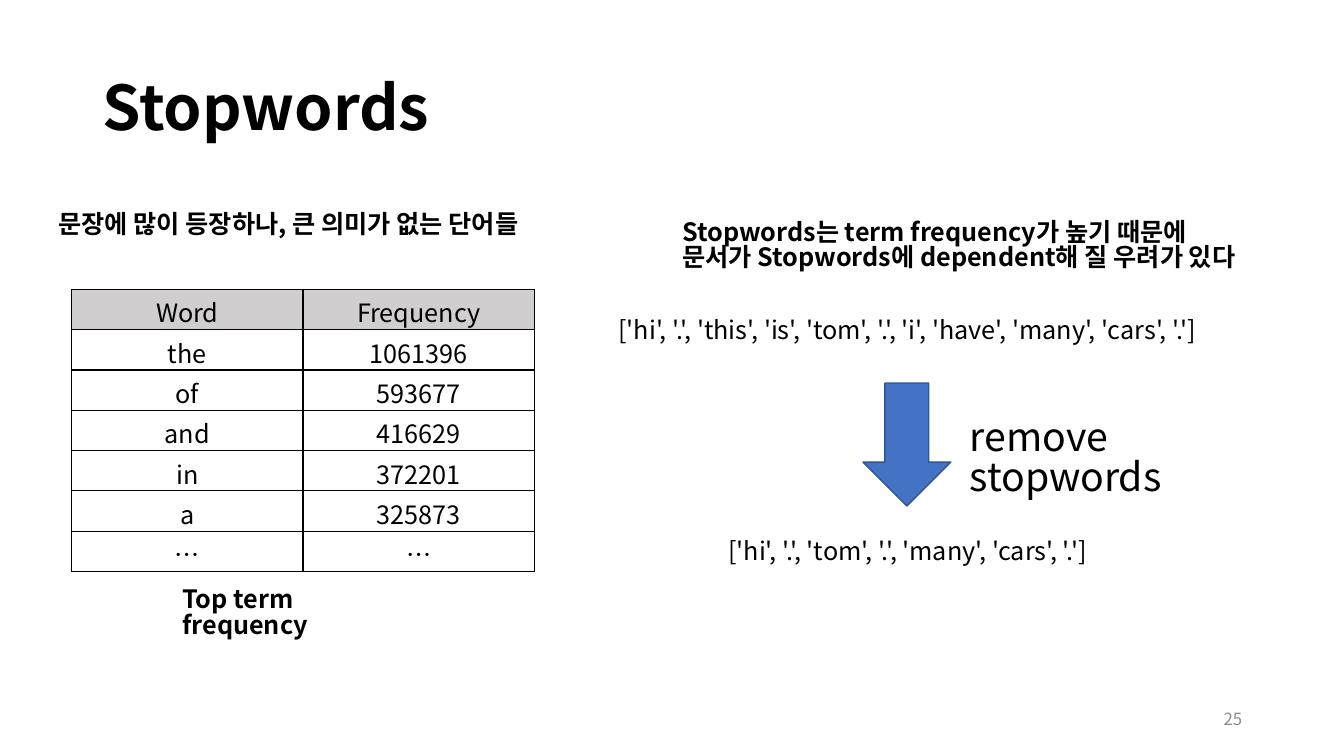
from dataclasses import dataclass

from lxml.etree import SubElement
from pptx import Presentation
from pptx.dml.color import RGBColor
from pptx.enum.shapes import MSO_SHAPE
from pptx.enum.text import MSO_ANCHOR as Anchor, MSO_AUTO_SIZE as AutoSize, PP_ALIGN as Align
from pptx.oxml.ns import qn
from pptx.util import Inches, Pt


@dataclass(frozen=True)
class Theme:
    font: str = "Noto Sans CJK KR"
    ink: str = "000000"
    muted: str = "8C8C8C"
    header: str = "D0CECE"
    accent: str = "4472C4"
    accent_edge: str = "325491"
    title_size: int = 44
    action_size: int = 28
    body_size: int = 18
    small_size: int = 12
    leading: float = 0.84


THEME = Theme()

TERMS = [
    ("Word", "Frequency"),
    ("the", "1061396"),
    ("of", "593677"),
    ("and", "416629"),
    ("in", "372201"),
    ("a", "325873"),
    ("…", "…"),
]


def rgb(value):
    return RGBColor.from_string(value)


def write_text(frame, text, size=THEME.body_size, color=THEME.ink, bold=False,
               align=Align.LEFT, leading=THEME.leading):
    for index, line in enumerate(text.split("\n")):
        paragraph = frame.paragraphs[0] if index == 0 else frame.add_paragraph()
        paragraph.alignment = align
        paragraph.line_spacing = leading
        run = paragraph.add_run()
        run.text = line
        run.font.name = THEME.font
        run.font.size = Pt(size)
        run.font.bold = bold
        run.font.color.rgb = rgb(color)
        SubElement(run.font._element, qn("a:ea")).set("typeface", THEME.font)


def add_text(slide, text, left, top, width, height=0.4, wrap=False,
             anchor=Anchor.TOP, right_inset=0.1, **text_format):
    box = slide.shapes.add_textbox(Inches(left), Inches(top), Inches(width), Inches(height))
    frame = box.text_frame
    frame.word_wrap = wrap
    frame.auto_size = AutoSize.NONE
    frame.vertical_anchor = anchor
    frame.margin_right = Inches(right_inset)
    write_text(frame, text, **text_format)


def add_borders(cell):
    properties = cell._tc.get_or_add_tcPr()
    for index, side in enumerate(("lnL", "lnR", "lnT", "lnB")):
        line = SubElement(properties, qn(f"a:{side}"), w=str(Pt(1)))
        fill = SubElement(line, qn("a:solidFill"))
        SubElement(fill, qn("a:srgbClr"), val=THEME.ink)
        properties.insert(index, line)


def add_term_table(slide, left, top, width, height):
    table = slide.shapes.add_table(len(TERMS), len(TERMS[0]), Inches(left), Inches(top),
                                   Inches(width), Inches(height)).table
    table.first_row = False
    table.horz_banding = False
    for row_index, values in enumerate(TERMS):
        for column_index, value in enumerate(values):
            cell = table.cell(row_index, column_index)
            cell.margin_top = Inches(0.09)
            cell.margin_bottom = 0
            if row_index == 0:
                cell.fill.solid()
                cell.fill.fore_color.rgb = rgb(THEME.header)
            else:
                cell.fill.background()
            add_borders(cell)
            write_text(cell.text_frame, value, align=Align.CENTER)


def add_frequency_region(slide, left, top):
    add_text(slide, "문장에 많이 등장하나, 큰 의미가 없는 단어들", left, top, 5.35, bold=True)
    add_term_table(slide, left + 0.23, top + 0.8, 4.59, 2.8)
    add_text(slide, "Top term frequency", left + 1.23, top + 3.72, 2.58, 0.7,
             wrap=True, right_inset=0.9, bold=True)


def add_down_arrow(slide, left, top, width, height):
    arrow = slide.shapes.add_shape(MSO_SHAPE.DOWN_ARROW, Inches(left), Inches(top),
                                   Inches(width), Inches(height))
    arrow.shadow.inherit = False
    arrow.fill.solid()
    arrow.fill.fore_color.rgb = rgb(THEME.accent)
    arrow.line.color.rgb = rgb(THEME.accent_edge)
    arrow.line.width = Pt(1)


def add_removal_region(slide, left, top):
    add_text(slide, "Stopwords는 term frequency가 높기 때문에\n"
                    "문서가 Stopwords에 dependent해 질 우려가 있다",
             left + 0.8, top, 5.99, 0.71, bold=True)
    add_text(slide, "['hi', '.', 'this', 'is', 'tom', '.', 'i', 'have', 'many', 'cars', '.']",
             left, top + 0.98, 6.26, align=Align.CENTER)
    add_down_arrow(slide, left + 2.69, top + 1.66, 0.87, 1.22)
    add_text(slide, "remove stopwords", left + 3.65, top + 1.98, 3.5, 1.04,
             wrap=True, right_inset=1.2, size=THEME.action_size)
    add_text(slide, "['hi', '.', 'tom', '.', 'many', 'cars', '.']",
             left + 1.07, top + 3.15, 4.12, align=Align.CENTER, leading=0.92)


def build_stopwords_slide(presentation):
    slide = presentation.slides.add_slide(presentation.slide_layouts[6])
    add_text(slide, "Stopwords", 0.92, 0.4, 11.5, 1.45, wrap=True, anchor=Anchor.MIDDLE,
             size=THEME.title_size, bold=True, leading=0.76)
    add_frequency_region(slide, 0.48, 2.07)
    add_removal_region(slide, 5.87, 2.14)
    add_text(slide, "25", 9.42, 6.95, 3, wrap=True, anchor=Anchor.MIDDLE,
             size=THEME.small_size, color=THEME.muted, align=Align.RIGHT)


def main():
    presentation = Presentation()
    presentation.slide_width = Inches(13.33)
    presentation.slide_height = Inches(7.5)
    build_stopwords_slide(presentation)
    presentation.save("out.pptx")


if __name__ == "__main__":
    main()
